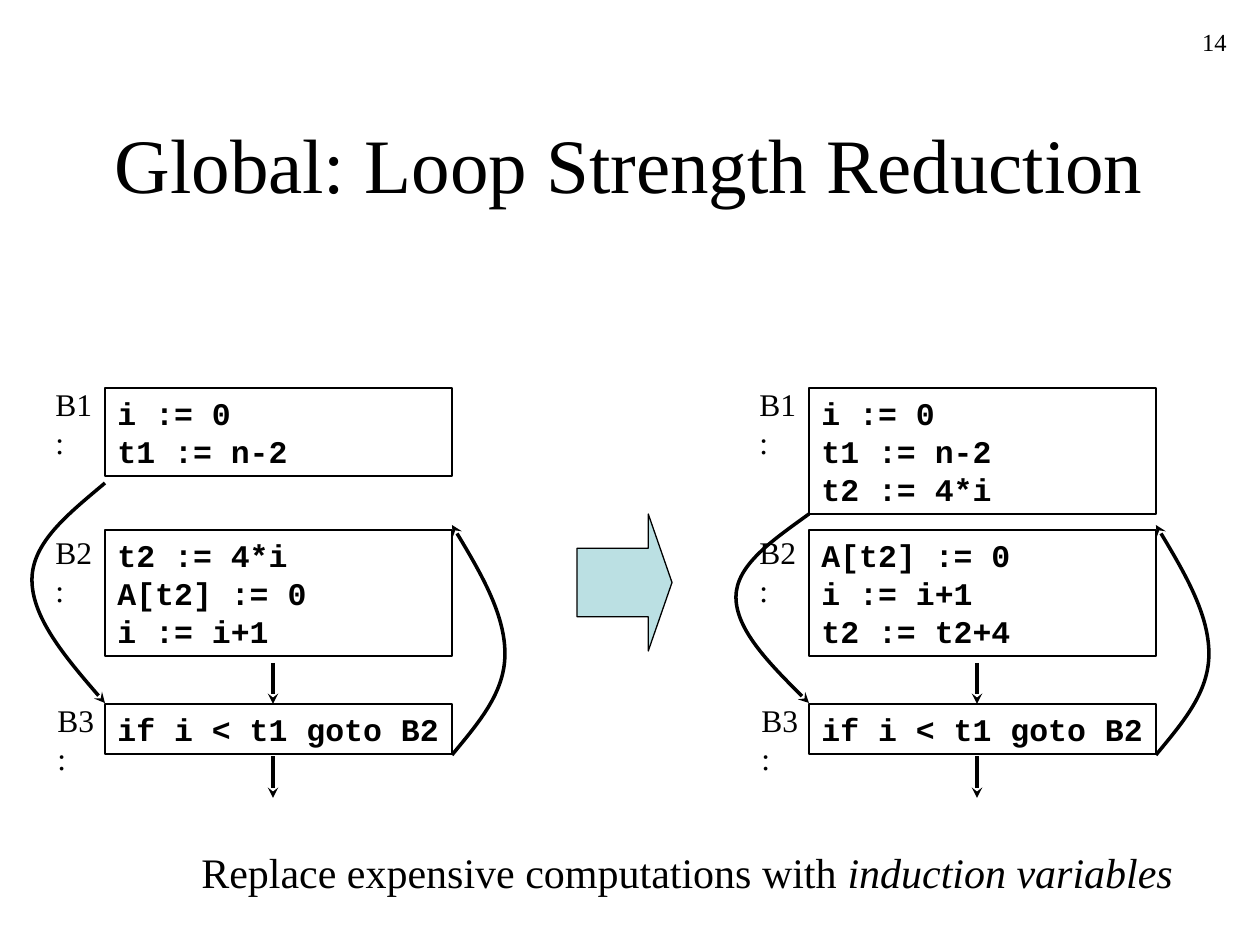
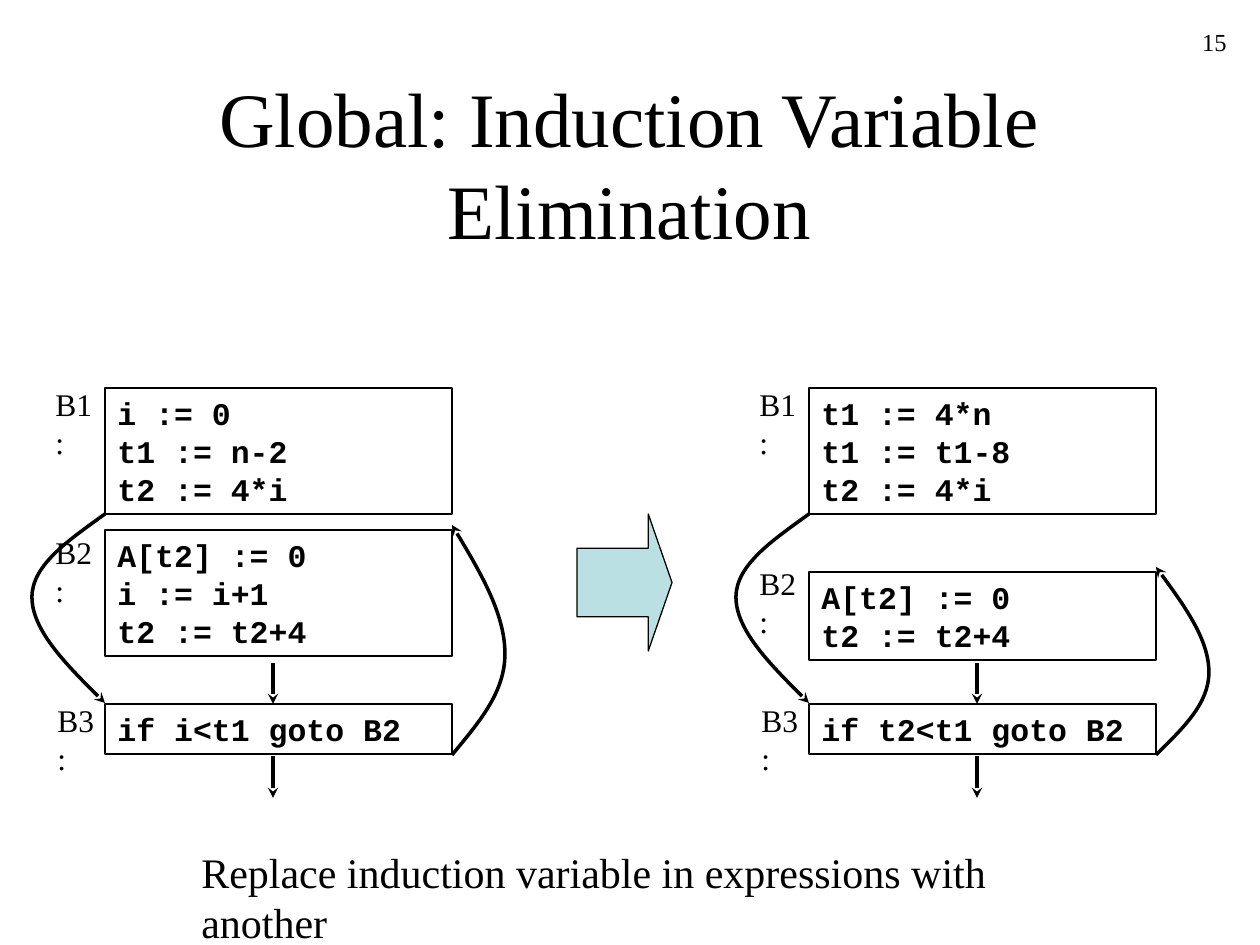
from dataclasses import dataclass

from lxml import etree
from pptx import Presentation
from pptx import util as u
from pptx.dml import color
from pptx.enum import shapes, text
from pptx.oxml import ns

EMU_PER_PX = 914400 / 126


@dataclass(frozen=True)
class Theme:
    ink = color.RGBColor(0x00, 0x00, 0x00)
    accent = color.RGBColor(0xBB, 0xE0, 0xE3)
    serif = "Times New Roman"
    mono = "Courier New"
    title_size = 44
    caption_size = 24
    body_size = 18
    number_size = 14
    outline = 0.75
    edge = 2


@dataclass(frozen=True)
class Flow:
    """Code of three basic blocks; offsets are px from the top of B1."""
    b1: tuple
    b2: tuple
    b3: tuple
    skip_start: int = 126
    b2_top: int = 142
    b2_label: int = 139


THEME = Theme()
BLOCK_WIDTH, LINE_HEIGHT, BLOCK_PADDING = 347, 38, 12
B3_TOP = 316
FALL_X = 168
# Bezier points of a jump, as shares of its bulge and of its height
JUMP_CURVE = ((0, 0), (0.5, 0.14), (1, 0.27), (1, 0.44), (1, 0.61), (0.5, 0.81), (0, 1))


def px(length):
    return u.Emu(round(length * EMU_PER_PX))


def px_all(*lengths):
    return [px(length) for length in lengths]


def add_run(paragraph, content, size, font=THEME.serif, bold=False, italic=False):
    run = paragraph.add_run()
    run.text = content
    run.font.name = font
    run.font.size = u.Pt(size)
    run.font.bold = bold
    run.font.italic = italic
    run.font.color.rgb = THEME.ink


def add_label(slide, box, runs, size, align=text.PP_ALIGN.LEFT,
              anchor=text.MSO_ANCHOR.TOP, wrap=False):
    """Add a text box; runs holds (content, italic) pairs."""
    frame = slide.shapes.add_textbox(*px_all(*box)).text_frame
    frame.word_wrap = wrap
    frame.vertical_anchor = anchor
    paragraph = frame.paragraphs[0]
    paragraph.alignment = align
    for content, italic in runs:
        add_run(paragraph, content, size, italic=italic)


def outline(shape, width):
    shape.line.color.rgb = THEME.ink
    shape.line.width = u.Pt(width)


def add_arrowhead(shape):
    line = shape.line._get_or_add_ln()
    etree.SubElement(line, ns.qn("a:tailEnd"), type="stealth")


def add_block(slide, left, top, lines):
    height = BLOCK_PADDING + LINE_HEIGHT * len(lines)
    block = slide.shapes.add_shape(shapes.MSO_SHAPE.RECTANGLE,
                                   *px_all(left, top, BLOCK_WIDTH, height))
    block.shadow.inherit = False
    block.fill.background()
    outline(block, THEME.outline)
    frame = block.text_frame
    frame.word_wrap = True
    frame.vertical_anchor = text.MSO_ANCHOR.TOP
    paragraph = frame.paragraphs[0]
    paragraph.alignment = text.PP_ALIGN.LEFT
    for index, line in enumerate(lines):
        if index:
            paragraph.add_line_break()
        add_run(paragraph, line, THEME.body_size, THEME.mono, bold=True)


def add_fall_through(slide, x, start, end):
    arrow = slide.shapes.add_connector(shapes.MSO_CONNECTOR.STRAIGHT,
                                       *px_all(x, start, x, end))
    etree.SubElement(arrow._element.spPr, ns.qn("a:effectLst"))
    outline(arrow, THEME.edge)
    add_arrowhead(arrow)


def add_jump(slide, x, start, end, bulge):
    """Add a curved arrow down or up one side of the blocks."""
    points = [px_all(x + bulge * across, start + (end - start) * along)
              for across, along in JUMP_CURVE]
    builder = slide.shapes.build_freeform(*points[0])
    builder.add_line_segments(points[1:], close=False)
    jump = builder.convert_to_shape()
    segments = list(jump._element.iter(ns.qn("a:lnTo")))
    for first in range(0, len(segments), 3):
        head, *others = segments[first:first + 3]
        head.tag = ns.qn("a:cubicBezTo")
        for segment in others:
            head.append(segment[0])
            segment.getparent().remove(segment)
    jump.shadow.inherit = False
    jump.fill.background()
    outline(jump, THEME.edge)
    add_arrowhead(jump)


def add_flow(slide, left, top, flow):
    right = left + BLOCK_WIDTH
    blocks = (("B1:", flow.b1, 0, -62, -9),
              ("B2:", flow.b2, flow.b2_top, -62, flow.b2_label),
              ("B3:", flow.b3, B3_TOP, -60, B3_TOP - 9))
    for name, lines, block_top, label_left, label_top in blocks:
        add_block(slide, left, top + block_top, lines)
        add_label(slide, (left + label_left, top + label_top, 70, 50),
                  [(name, False)], THEME.body_size)
    add_jump(slide, left, top + flow.skip_start, top + B3_TOP - 1, -73)
    add_jump(slide, right, top + 367, top + flow.b2_top - 5, 53)
    for start, end in ((275, B3_TOP), (368, 410)):
        add_fall_through(slide, left + FALL_X, top + start, top + end)


def add_transform_arrow(slide, *box):
    arrow = slide.shapes.add_shape(shapes.MSO_SHAPE.RIGHT_ARROW, *px_all(*box))
    arrow.adjustments[0] = 0.5
    arrow.adjustments[1] = 0.25
    arrow.shadow.inherit = False
    arrow.fill.solid()
    arrow.fill.fore_color.rgb = THEME.accent
    outline(arrow, THEME.outline)


def add_rewrite_slide(presentation, number, title, before, after, caption, caption_width):
    """Add a slide showing a flow before and after one optimization."""
    slide = presentation.slides.add_slide(presentation.slide_layouts[6])
    add_label(slide, (94, 84, 1071, 158), [(title, False)], THEME.title_size,
              text.PP_ALIGN.CENTER, text.MSO_ANCHOR.MIDDLE, wrap=True)
    add_flow(slide, 105, 388, before)
    add_flow(slide, 809, 388, after)
    add_transform_arrow(slide, 577, 514, 95, 137)
    add_label(slide, (189, 840, caption_width, 63), caption, THEME.caption_size)
    add_label(slide, (977, 21, 262, 63), [(str(number), False)], THEME.number_size,
              text.PP_ALIGN.RIGHT, wrap=True)


def main():
    presentation = Presentation()
    presentation.slide_width, presentation.slide_height = px_all(1260, 945)

    initial = Flow(("i := 0", "t1 := n-2"),
                   ("t2 := 4*i", "A[t2] := 0", "i := i+1"),
                   ("if i < t1 goto B2",), skip_start=95)
    reduced_b1 = ("i := 0", "t1 := n-2", "t2 := 4*i")
    reduced_b2 = ("A[t2] := 0", "i := i+1", "t2 := t2+4")
    add_rewrite_slide(presentation, 14, "Global: Loop Strength Reduction",
                      initial, Flow(reduced_b1, reduced_b2, initial.b3),
                      [("Replace expensive computations with ", False),
                       ("induction variables", True)], 997)

    eliminated = Flow(("t1 := 4*n", "t1 := t1-8", "t2 := 4*i"),
                      ("A[t2] := 0", "t2 := t2+4"),
                      ("if t2<t1 goto B2",), b2_top=184, b2_label=170)
    add_rewrite_slide(presentation, 15, "Global: Induction Variable Elimination",
                      Flow(reduced_b1, reduced_b2, ("if i<t1 goto B2",)), eliminated,
                      [("Replace induction variable in expressions with another", False)],
                      946)
    presentation.save("out.pptx")


if __name__ == "__main__":
    main()
